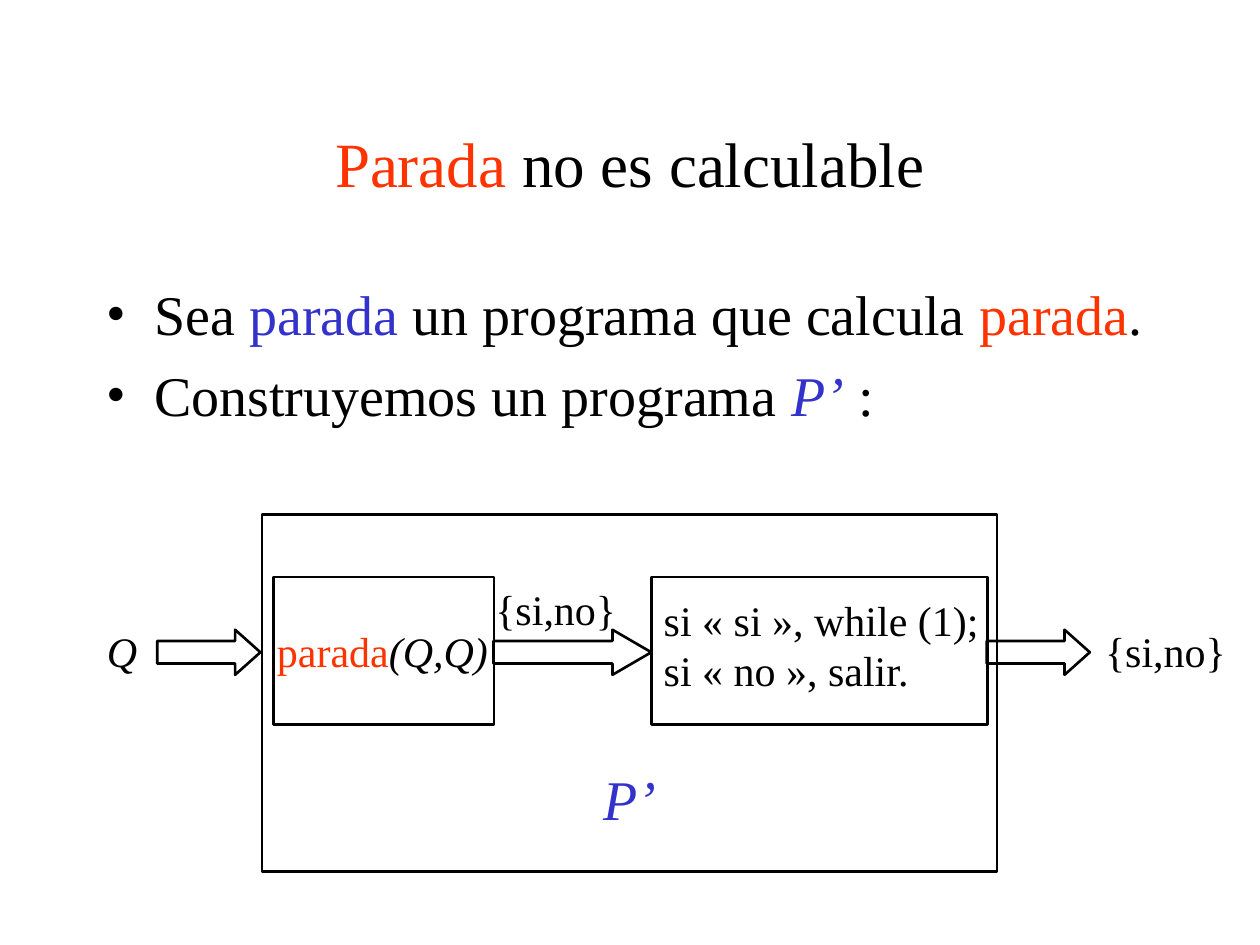
from lxml import etree
from pptx import Presentation
from pptx.dml.color import RGBColor
from pptx.enum import shapes, text
from pptx.oxml import ns
from pptx.util import Cm, Pt

FONT = "Times New Roman"
COLORS = {"ink": "000000", "red": "FF3300", "blue": "3333CC"}


def write(paragraph, pieces, size):
    """Fill a paragraph with (wording, colour, italic) pieces."""
    for wording, color, italic in pieces:
        run = paragraph.add_run()
        run.text = wording
        run.font.name = FONT
        run.font.size = Pt(size)
        run.font.italic = italic
        run.font.color.rgb = RGBColor.from_string(COLORS[color])


def set_bullet(paragraph, indent):
    props = paragraph._p.get_or_add_pPr()
    props.set("marL", str(indent))
    props.set("indent", str(-indent))
    etree.SubElement(props, ns.qn("a:buFont")).set("typeface", FONT)
    etree.SubElement(props, ns.qn("a:buChar")).set("char", "•")


def add_title(slide, left, top, width, height):
    title = slide.shapes.title
    title.left, title.top, title.width, title.height = map(Cm, (left, top, width, height))
    frame = title.text_frame
    frame.auto_size = text.MSO_AUTO_SIZE.NONE
    frame.vertical_anchor = text.MSO_ANCHOR.MIDDLE
    frame.paragraphs[0].alignment = text.PP_ALIGN.CENTER
    write(frame.paragraphs[0],
          [("Parada", "red", False), (" no es calculable", "ink", False)], 36)


def add_statements(slide, left, top, width, height):
    statements = [
        [("Sea ", "ink", False), ("parada ", "blue", False),
         ("un programa que calcula ", "ink", False),
         ("parada", "red", False), (".", "ink", False)],
        [("Construyemos un programa ", "ink", False),
         ("P’", "blue", True), (" :", "ink", False)],
    ]
    frame = slide.shapes.add_textbox(*map(Cm, (left, top, width, height))).text_frame
    frame.word_wrap = True
    for i, pieces in enumerate(statements):
        paragraph = frame.add_paragraph() if i else frame.paragraphs[0]
        paragraph.space_before = Pt(8)
        set_bullet(paragraph, Cm(0.96))
        write(paragraph, pieces, 32)


def add_outline(slide, kind, left, top, width, height):
    outline = slide.shapes.add_shape(kind, *map(Cm, (left, top, width, height)))
    outline.shadow.inherit = False
    outline.fill.background()
    outline.line.color.rgb = RGBColor.from_string(COLORS["ink"])
    outline.line.width = Pt(1.5)
    return outline


def add_label(slide, left, middle, width, lines, size=24, align=text.PP_ALIGN.CENTER):
    """Unwrapped text, centred vertically on the given middle."""
    height = 0.25 + len(lines) * size * 0.0425
    label = slide.shapes.add_textbox(*map(Cm, (left, middle - height / 2, width, height)))
    frame = label.text_frame
    frame.word_wrap = False
    frame.auto_size = text.MSO_AUTO_SIZE.SHAPE_TO_FIT_TEXT
    frame.vertical_anchor = text.MSO_ANCHOR.MIDDLE
    for i, pieces in enumerate(lines):
        paragraph = frame.add_paragraph() if i else frame.paragraphs[0]
        paragraph.alignment = align
        write(paragraph, pieces, size)


def add_program_diagram(slide, left, top, width, height):
    rect, arrow = shapes.MSO_SHAPE.RECTANGLE, shapes.MSO_SHAPE.RIGHT_ARROW
    flow = top + 2.78
    label_middle = flow - 0.03
    step_height, arrow_height = 2.97, 0.91
    answer = [[("{si,no}", "ink", False)]]

    # Inner steps: the halting test and the rule applied to its answer
    for x, step_width in ((3.61, 4.45), (11.23, 6.78)):
        add_outline(slide, rect, left + x, label_middle - step_height / 2,
                    step_width, step_height)
    add_label(slide, left + 3.36, label_middle, 4.9,
              [[("parada", "red", False), ("(Q,Q)", "ink", True)]])
    add_label(slide, left + 11.23, flow - 0.15, 6.86,
              [[("si « si », while (1);", "ink", False)],
               [("si « no », salir.", "ink", False)]], align=text.PP_ALIGN.LEFT)

    # Arrows: input, intermediate answer, output
    for x, length, head in ((1.27, 2.08, 0.56), (8.05, 3.18, 0.86), (17.99, 2.08, 0.56)):
        flow_arrow = add_outline(slide, arrow, left + x, flow - arrow_height / 2,
                                 length, arrow_height)
        flow_arrow.adjustments[0] = 0.5
        flow_arrow.adjustments[1] = head

    # Values carried by the arrows
    add_label(slide, left, label_middle, 1.12, [[("Q", "ink", True)]])
    add_label(slide, left + 7.83, label_middle - 0.85, 2.95, answer)
    add_label(slide, left + width - 2.95, label_middle, 2.95, answer)

    # Enclosing program
    add_outline(slide, rect, left + 3.38, top, 14.82, height)
    add_label(slide, left + 10.01, top + 5.71, 1.58, [[("P’", "blue", True)]], size=32)


def main():
    deck = Presentation()
    deck.slide_width, deck.slide_height = Cm(25.4), Cm(19.05)
    slide = deck.slides.add_slide(deck.slide_layouts[5])
    add_title(slide, 1.9, 1.69, 21.59, 3.18)
    add_statements(slide, 1.9, 5.51, 21.59, 4.5)
    add_program_diagram(slide, 1.9, 10.37, 23.07, 7.2)
    deck.save("out.pptx")


if __name__ == "__main__":
    main()
